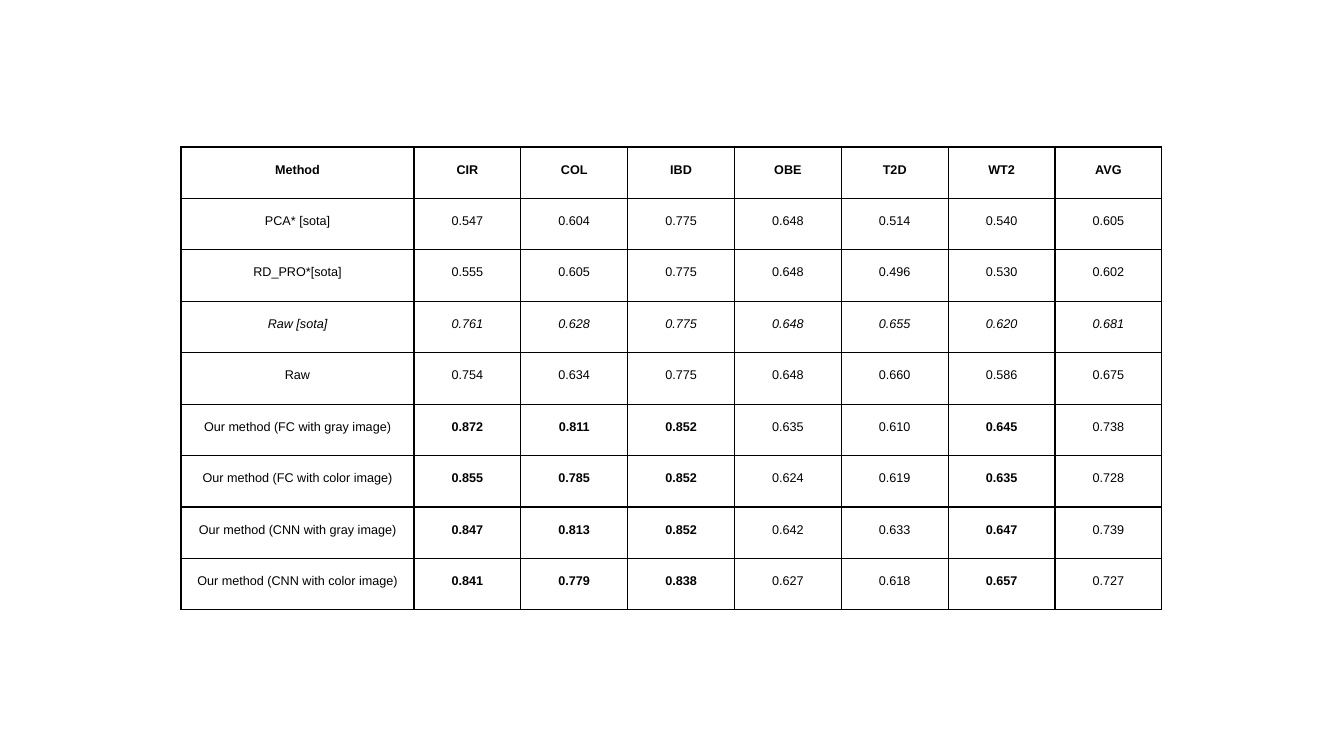
from lxml.etree import SubElement
from pptx import Presentation
from pptx.dml.color import RGBColor
from pptx.enum.text import MSO_ANCHOR as Anchor, PP_ALIGN as Align
from pptx.oxml.ns import qn
from pptx.util import Pt

EMU_PER_PX = 914400 / 100.8
BLACK = RGBColor(0x00, 0x00, 0x00)
WHITE = RGBColor(0xFF, 0xFF, 0xFF)

HEADER = ["Method", "CIR", "COL", "IBD", "OBE", "T2D", "WT2", "AVG"]
RESULTS = [
    ["PCA* [sota]", "0.547", "0.604", "0.775", "0.648", "0.514", "0.540", "0.605"],
    ["RD_PRO*[sota]", "0.555", "0.605", "0.775", "0.648", "0.496", "0.530", "0.602"],
    ["Raw [sota]", "0.761", "0.628", "0.775", "0.648", "0.655", "0.620", "0.681"],
    ["Raw", "0.754", "0.634", "0.775", "0.648", "0.660", "0.586", "0.675"],
    ["Our method (FC with gray image)",
     "0.872", "0.811", "0.852", "0.635", "0.610", "0.645", "0.738"],
    ["Our method (FC with color image)",
     "0.855", "0.785", "0.852", "0.624", "0.619", "0.635", "0.728"],
    ["Our method (CNN with gray image)",
     "0.847", "0.813", "0.852", "0.642", "0.633", "0.647", "0.739"],
    ["Our method (CNN with color image)",
     "0.841", "0.779", "0.838", "0.627", "0.618", "0.657", "0.727"],
]
IMPROVED = {"CIR", "COL", "IBD", "WT2"}  # datasets where our method wins


def px(n):
    return round(n * EMU_PER_PX)


def write(tf, text, *, font, size, color=BLACK, bold=False, italic=False,
          align=Align.CENTER):
    p = tf.paragraphs[0]
    p.alignment = align
    r = p.add_run()
    r.text = text
    f = r.font
    f.name, f.size, f.bold, f.italic = font, Pt(size), bold, italic
    f.color.rgb = color


class SlideBuilder:
    font = "Arial"
    size = 9
    border = Pt(1)

    def __init__(self, slide):
        self.slide = slide

    def table(self, rows, left, top, width, height, first_col, format_for):
        n_rows, n_cols = len(rows), len(rows[0])
        frame = self.slide.shapes.add_table(
            n_rows, n_cols, px(left), px(top), px(width), px(height))
        table = frame.table
        table.first_row = table.horz_banding = False

        # Wide first column, the rest shared equally
        for i, col in enumerate(table.columns):
            col.width = px((width - first_col) / (n_cols - 1) if i else first_col)
        for row in table.rows:
            row.height = px(height / n_rows)

        for i, row in enumerate(rows):
            for j, text in enumerate(row):
                self.cell(table.cell(i, j), text, **format_for(row, j))

    def cell(self, cell, text, **fmt):
        cell.margin_left = cell.margin_right = cell.margin_top = px(1)
        cell.margin_bottom = px(7)
        cell.vertical_anchor = Anchor.MIDDLE
        self.borders(cell)
        cell.fill.solid()
        cell.fill.fore_color.rgb = WHITE
        write(cell.text_frame, text, font=self.font, size=self.size, **fmt)

    def borders(self, cell):
        tc_pr = cell._tc.get_or_add_tcPr()
        for side in ("a:lnL", "a:lnR", "a:lnT", "a:lnB"):
            ln = SubElement(tc_pr, qn(side), w=str(self.border))
            fill = SubElement(ln, qn("a:solidFill"))
            SubElement(fill, qn("a:srgbClr"), val=str(BLACK))


def result_format(row, col):
    method = row[0]
    ours = method.startswith("Our method")
    return {"bold": row is HEADER or (ours and HEADER[col] in IMPROVED),
            "italic": method == "Raw [sota]"}


def main():
    prs = Presentation()
    prs.slide_width, prs.slide_height = px(1344), px(756)
    s = SlideBuilder(prs.slides.add_slide(prs.slide_layouts[6]))

    # Results by method and dataset
    s.table([HEADER] + RESULTS, left=181, top=147, width=981, height=463,
            first_col=233, format_for=result_format)

    prs.save("out.pptx")


if __name__ == "__main__":
    main()
